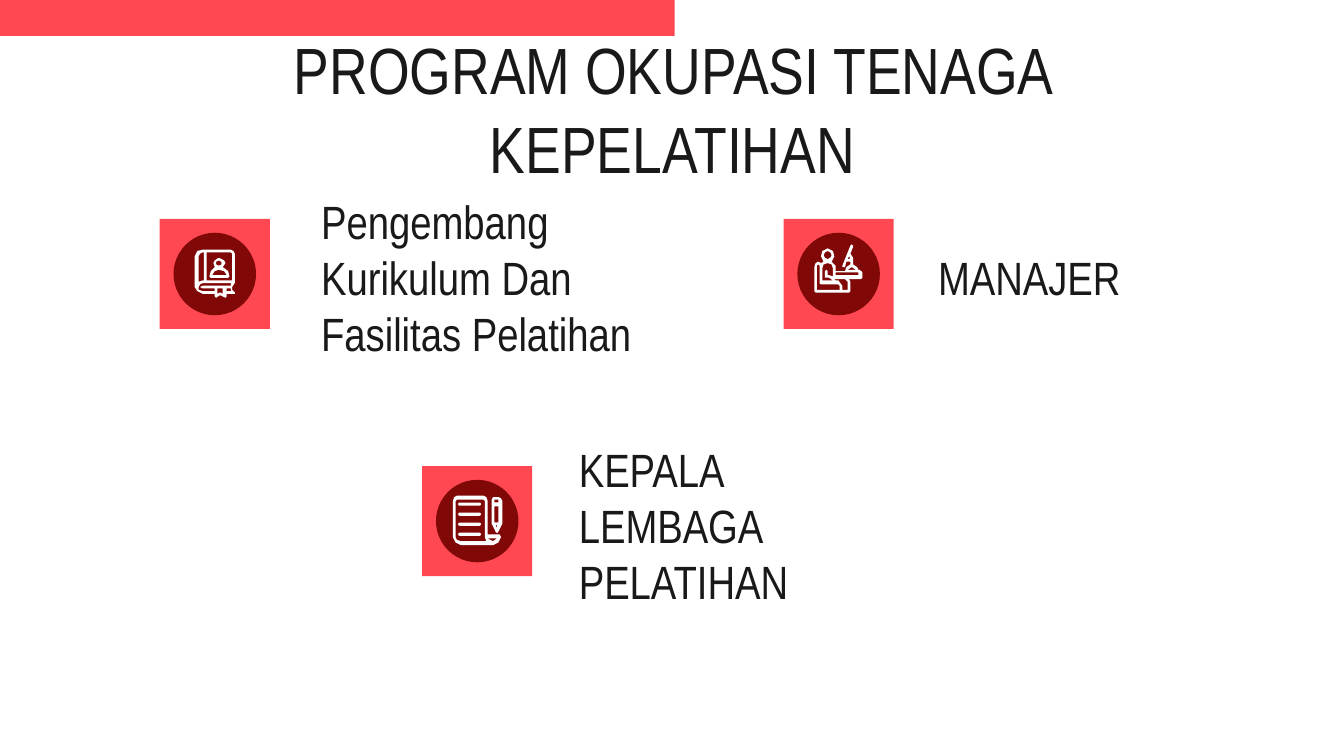
import pptx
import pptx.util
import pptx.dml.color
import pptx.enum.shapes
import pptx.enum.text

Cm = pptx.util.Cm
KINDS = pptx.enum.shapes.MSO_SHAPE
ALIGN = pptx.enum.text.PP_ALIGN

COLORS = {"red": "FF4852", "dark": "800908", "white": "FFFFFF", "ink": "191919"}
GRID = Cm(0.91) / 36

BOOK = [
    [(6, 0), (27, 0), (29, 1), (30, 3), (30, 25), (28, 28), (28, 30), (30, 32),
     (30, 33), (24, 33), (24, 35), (23, 36), (19, 34), (16, 36), (15, 35), (15, 33),
     (6, 33), (2, 31), (0, 28), (0, 5), (2, 1)],
    [(9, 2), (27, 2), (28, 3), (28, 23), (9, 23)],
    [(7, 2), (7, 23), (6, 23), (3, 24), (3, 5), (4, 3), (6, 2)],
    [(27, 25), (27, 27), (6, 27), (4, 28), (6, 29), (15, 29), (15, 31), (6, 31),
     (3, 30), (3, 28), (4, 26), (6, 25)],
    [(27, 29), (27, 31), (24, 31), (24, 29)],
    [(21, 29), (21, 33), (19, 32), (17, 33), (17, 29)],
]
BUST = [
    [(18, 6), (22, 8), (23, 10), (21, 13), (25, 16), (26, 20), (25, 21), (12, 21),
     (11, 20), (12, 16), (15, 13), (14, 10), (15, 8)],
    [(18, 8), (20, 9), (20, 11), (18, 12), (16, 11), (16, 9)],
    [(18, 15), (22, 16), (24, 19), (13, 19), (15, 16)],
]
DESK = [
    [(28, 0), (29, 1), (29, 2), (27, 7), (29, 10), (29, 15), (32, 17), (33, 19),
     (34, 19), (36, 21), (36, 25), (35, 26), (26, 26), (27, 28), (27, 35), (26, 36),
     (1, 36), (0, 35), (0, 17), (1, 14), (3, 13), (5, 14), (7, 13), (5, 9), (6, 5),
     (10, 3), (14, 5), (15, 9), (13, 13), (16, 16), (16, 20), (23, 20), (24, 17),
     (27, 15), (27, 13), (24, 13), (23, 17), (21, 17), (21, 16), (27, 1)],
    [(26, 9), (27, 10), (26, 11), (25, 11)],
    [(10, 5), (12, 6), (13, 8), (12, 10), (10, 11), (8, 10), (7, 8), (8, 6)],
    [(28, 17), (31, 19), (25, 19)],
    [(33, 21), (33, 23), (16, 23), (16, 21)],
    [(10, 14), (13, 15), (14, 18), (14, 24), (11, 23), (10, 23), (10, 20), (9, 19),
     (8, 20), (8, 25), (11, 25), (14, 27), (6, 27), (6, 18), (7, 15)],
    [(3, 15), (4, 16), (4, 29), (5, 30), (18, 30), (19, 31), (19, 34), (2, 34), (2, 16)],
    [(23, 26), (25, 28), (25, 34), (21, 34), (21, 31), (18, 27), (16, 27), (15, 26)],
]
SCROLL = [
    [(3, 0), (23, 0), (25, 1), (26, 4), (26, 29), (35, 29), (36, 31), (34, 35),
     (30, 37), (6, 37), (2, 35), (0, 31), (0, 4), (1, 1)],
    [(23, 3), (24, 4), (24, 31), (25, 34), (6, 34), (3, 33), (2, 31), (2, 4), (3, 3)],
    [(33, 32), (30, 34), (26, 32)],
]
PENCIL = [
    [(32, 1), (34, 1), (36, 2), (37, 4), (37, 21), (34, 27), (33, 28), (32, 27),
     (29, 21), (29, 3), (30, 1)],
    [(34, 3), (34, 5), (31, 5), (31, 3)],
    [(34, 8), (34, 20), (31, 20), (31, 8)],
    [(33, 22), (33, 24), (32, 22)],
]


def paint(shape, color):
    shape.shadow.inherit = False
    shape.fill.solid()
    shape.fill.fore_color.rgb = pptx.dml.color.RGBColor.from_string(COLORS[color])
    shape.line.fill.background()


def add_block(slide, kind, left, top, width, height, color):
    shape = slide.shapes.add_shape(kind, Cm(left), Cm(top), Cm(width), Cm(height))
    paint(shape, color)
    return shape


def add_text(slide, text, *, left, top, width, height, size=25, align=ALIGN.LEFT):
    box = slide.shapes.add_textbox(Cm(left), Cm(top), Cm(width), Cm(height))
    frame = box.text_frame
    frame.word_wrap = True
    frame.vertical_anchor = pptx.enum.text.MSO_ANCHOR.MIDDLE
    frame.margin_left = frame.margin_right = Cm(0.25)
    frame.margin_top = frame.margin_bottom = Cm(0.25)
    line = frame.paragraphs[0]
    line.alignment = align
    run = line.add_run()
    run.text = text
    run.font.name = "Arial Narrow"
    run.font.size = pptx.util.Pt(size)
    run.font.color.rgb = pptx.dml.color.RGBColor.from_string(COLORS["ink"])


def add_badge(slide, left, top):
    add_block(slide, KINDS.RECTANGLE, left, top, 2.08, 2.08, "red")
    add_block(slide, KINDS.OVAL, left + 0.26, top + 0.26, 1.56, 1.56, "dark")


def add_icon(slide, loops, left, top):
    pen = slide.shapes.build_freeform(*loops[0][0], scale=GRID)
    for index, loop in enumerate(loops):
        if index:
            pen.move_to(*loop[0])
        pen.add_line_segments(loop[1:], close=True)
    paint(pen.convert_to_shape(Cm(left), Cm(top)), "white")


def add_rules(slide, left, top):
    for row in range(4):
        bar = add_block(slide, KINDS.ROUNDED_RECTANGLE, left, top + row * 0.19,
                        0.43, 0.06, "white")
        bar.adjustments[0] = 0.5


def main():
    deck = pptx.Presentation()
    deck.slide_width, deck.slide_height = Cm(25.4), Cm(14.29)
    slide = deck.slides.add_slide(deck.slide_layouts[6])

    add_block(slide, KINDS.RECTANGLE, -0.05, -0.84, 12.8, 1.52, "red")
    add_text(slide, "PROGRAM OKUPASI TENAGA KEPELATIHAN", left=2.01, top=1.24,
             width=21.41, height=1.6, size=35, align=ALIGN.CENTER)

    roles = [
        ("Pengembang Kurikulum Dan Fasilitas Pelatihan", 5.82, 4.67, 6.86),
        ("KEPALA LEMBAGA PELATIHAN", 10.69, 9.35, 5.79),
        ("MANAJER", 17.48, 4.67, 5.79),
    ]
    for text, left, top, width in roles:
        add_text(slide, text, left=left, top=top, width=width, height=1.14)

    for left, top in [(3.02, 4.14), (14.81, 4.14), (7.98, 8.81)]:
        add_badge(slide, left, top)

    icons = [
        (BOOK, 3.68, 4.72), (BUST, 3.68, 4.72), (DESK, 15.39, 4.62),
        (SCROLL, 8.56, 9.37), (PENCIL, 8.56, 9.37),
    ]
    for loops, left, top in icons:
        add_icon(slide, loops, left, top)
    add_rules(slide, 8.66, 9.5)

    deck.save("out.pptx")


if __name__ == "__main__":
    main()
